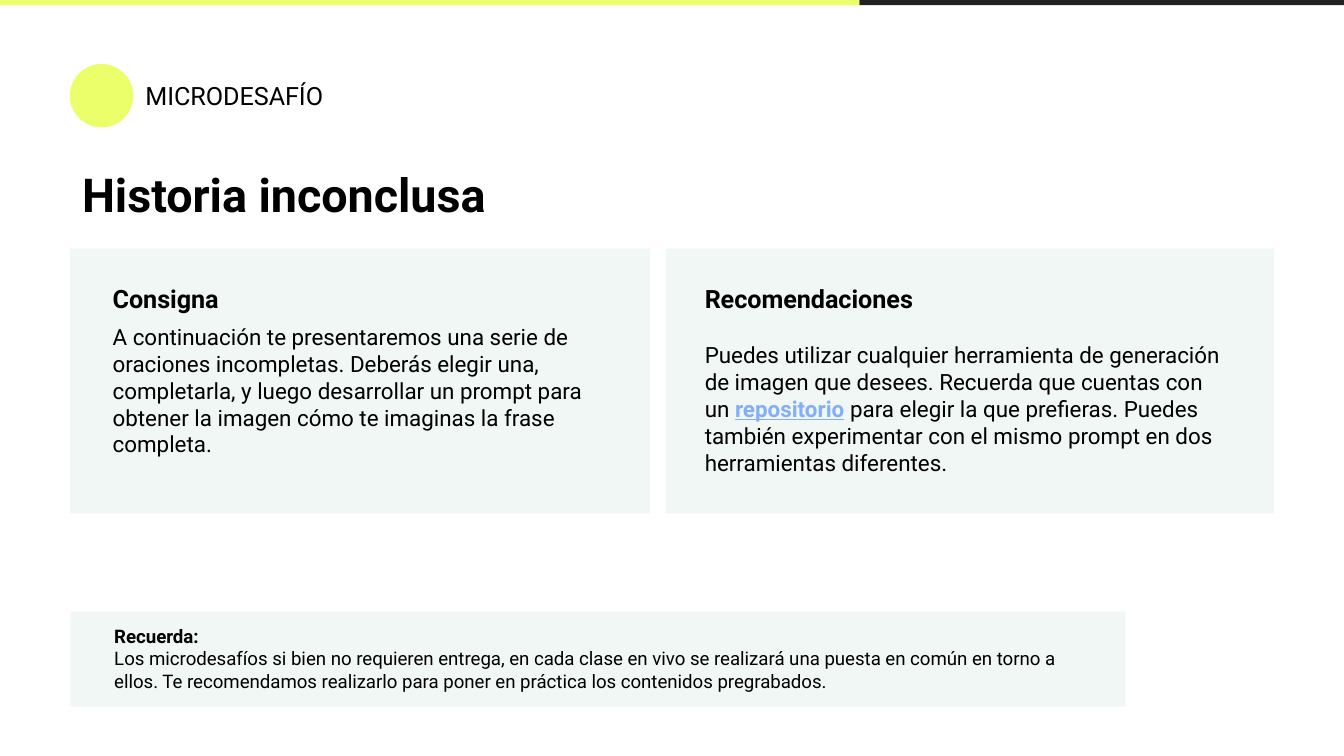
from pptx import Presentation
from pptx import util as u
from pptx.dml.color import RGBColor
from pptx.enum import shapes, text

COLORS = {"lime": "EAFF6A", "dark": "212121", "card": "F0F7F5",
          "ink": "000000", "link": "83AEFB"}
FONT = "Roboto"


def place(item, left, top, width, height):
    for name, value in zip(("left", "top", "width", "height"),
                           (left, top, width, height)):
        setattr(item, name, u.Cm(value))


def write(box, paragraphs):
    """Fill a box with paragraphs, each a list of (words, format) spans."""
    frame = box.text_frame
    frame.word_wrap = True
    frame.auto_size = text.MSO_AUTO_SIZE.NONE
    frame.vertical_anchor = text.MSO_ANCHOR.TOP
    for side in ("left", "top", "right", "bottom"):
        setattr(frame, f"margin_{side}", u.Cm(0.25))
    for number, spans in enumerate(paragraphs):
        para = frame.add_paragraph() if number else frame.paragraphs[0]
        para.alignment = text.PP_ALIGN.LEFT
        for words, style in spans:
            span = para.add_run()
            span.text = words
            values = {"name": FONT, "bold": False, **style}
            color = values.pop("color", "ink")
            for name, value in values.items():
                setattr(span.font, name, value)
            span.font.color.rgb = RGBColor.from_string(COLORS[color])


deck = Presentation()
deck.slide_width, deck.slide_height = u.Cm(25.4), u.Cm(14.29)
page = deck.slides.add_slide(deck.slide_layouts[5])

# Text formats
title_style = {"size": u.Pt(25), "bold": True}
label = {"size": u.Pt(13.5)}
heading = {**label, "bold": True}
body = {"size": u.Pt(12)}
link = {**body, "bold": True, "underline": True, "color": "link"}
note = {"size": u.Pt(10)}
note_heading = {**note, "bold": True}

# Top bar, section dot and card backgrounds
rectangle, oval = shapes.MSO_SHAPE.RECTANGLE, shapes.MSO_SHAPE.OVAL
for kind, color, area in [
    (rectangle, "dark", (16.24, 0, 9.16, 0.1)),
    (rectangle, "lime", (0, 0, 16.24, 0.1)),
    (oval, "lime", (1.32, 1.21, 1.2, 1.2)),
    (rectangle, "card", (1.32, 4.7, 10.97, 5)),
    (rectangle, "card", (12.58, 4.7, 11.5, 5)),
    (rectangle, "card", (1.33, 11.56, 19.94, 1.8)),
]:
    shape = page.shapes.add_shape(kind, *map(u.Cm, area))
    shape.shadow.inherit = False
    shape.fill.solid()
    shape.fill.fore_color.rgb = RGBColor.from_string(COLORS[color])
    shape.line.fill.background()

# Title
title = page.shapes.title
place(title, 1.3, 3, 20.42, 1.47)
write(title, [[("Historia inconclusa", title_style)]])
title.text_frame.paragraphs[0].line_spacing = 0.9

# Section label, card texts and reminder
boxes = []
for area, paragraphs in [
    ((2.5, 1.27, 8.33, 1.09), [[("MICRODESAFÍO", label)]]),
    ((1.88, 5.11, 9.91, 3.84), [
        [("Consigna", heading)],
        [("A continuación te presentaremos una serie de oraciones incompletas. "
          "Deberás elegir una, completarla, y luego desarrollar un prompt para "
          "obtener la imagen cómo te imaginas la frase completa.", body)],
    ]),
    ((13.07, 5.11, 10.52, 1.09), [[("Recomendaciones", heading)]]),
    ((13.07, 6.2, 10.41, 3.07), [
        [("Puedes utilizar cualquier herramienta de generación de imagen que "
          "desees. Recuerda que cuentas con un ", body),
         ("repositorio", link),
         (" para elegir la que prefieras. Puedes también experimentar con el "
          "mismo prompt en dos herramientas diferentes.", body)],
    ]),
    ((1.91, 11.56, 18.92, 1.8), [
        [("Recuerda:", note_heading)],
        [("Los microdesafíos si bien no requieren entrega, en cada clase en vivo "
          "se realizará una puesta en común en torno a ellos. Te recomendamos "
          "realizarlo para poner en práctica los contenidos pregrabados.", note)],
    ]),
]:
    box = page.shapes.add_textbox(*map(u.Cm, area))
    write(box, paragraphs)
    boxes.append(box)

# Small gap under the "Consigna" heading
boxes[1].text_frame.paragraphs[0].space_after = u.Pt(5)

deck.save("out.pptx")
